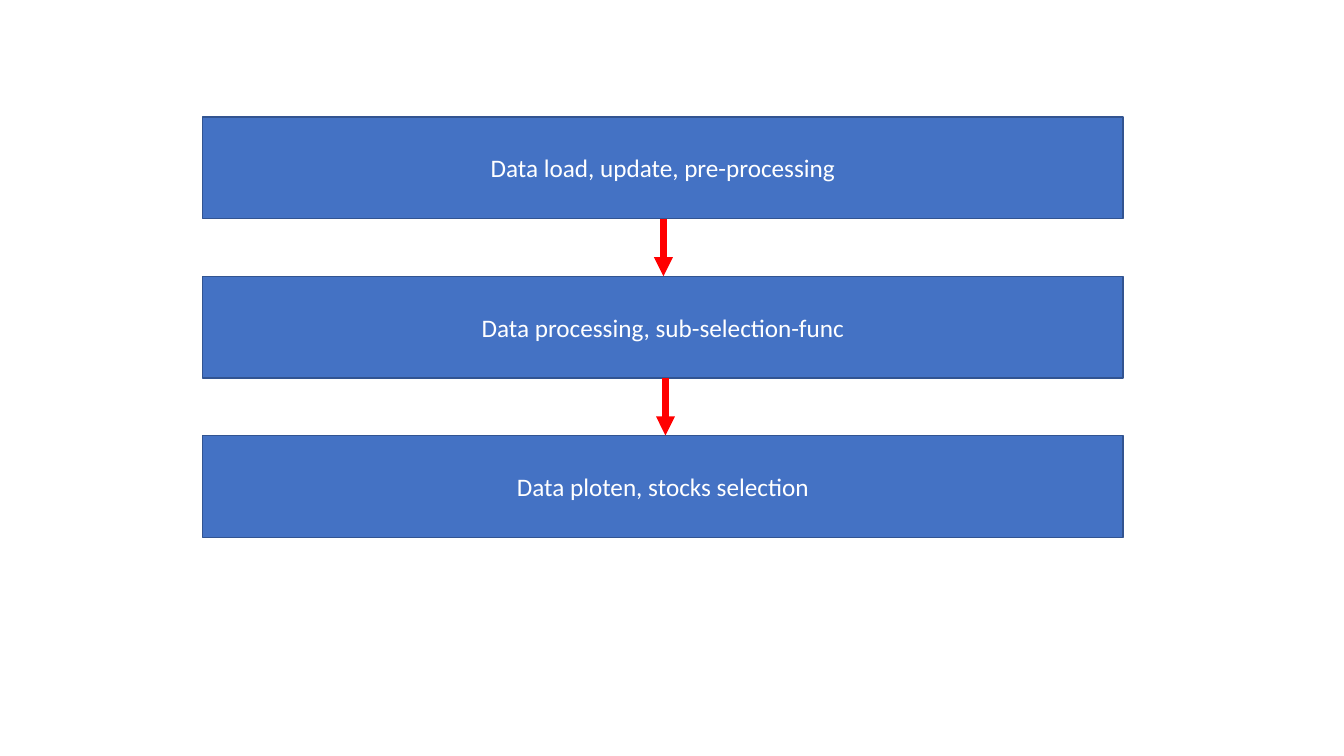
from dataclasses import dataclass

from lxml.etree import SubElement
from pptx import Presentation
from pptx.dml.color import RGBColor
from pptx.enum.shapes import MSO_CONNECTOR, MSO_SHAPE
from pptx.enum.text import MSO_ANCHOR, PP_ALIGN
from pptx.oxml.ns import qn
from pptx.slide import Slide
from pptx.util import Inches, Pt


@dataclass(frozen=True)
class Theme:
    """Colours, type and line widths of the slide."""
    box_fill: RGBColor = RGBColor(0x44, 0x72, 0xC4)
    box_line: RGBColor = RGBColor(0x32, 0x54, 0x91)
    text: RGBColor = RGBColor(0xFF, 0xFF, 0xFF)
    arrow: RGBColor = RGBColor(0xFF, 0x00, 0x00)
    font: str = "Calibri"
    text_size: Pt = Pt(18)
    box_line_width: Pt = Pt(1)
    arrow_width: Pt = Pt(4.5)


@dataclass(frozen=True)
class Step:
    """One pipeline stage and its top edge in inches."""
    label: str
    top: float


THEME = Theme()
BOX_LEFT, BOX_WIDTH, BOX_HEIGHT = 2.01, 9.13, 1.01
FIRST_TOP, STEP_PITCH = 1.16, 1.58
ARROW_POSITIONS = (6.58, 6.6)
LABELS = (
    "Data load, update, pre-processing",
    "Data processing, sub-selection-func",
    "Data ploten, stocks selection",
)


def add_step(slide: Slide, step: Step) -> None:
    """Draw a stage as a labelled box."""
    shape = slide.shapes.add_shape(
        MSO_SHAPE.RECTANGLE, Inches(BOX_LEFT), Inches(step.top),
        Inches(BOX_WIDTH), Inches(BOX_HEIGHT))
    shape.shadow.inherit = False
    shape.fill.solid()
    shape.fill.fore_color.rgb = THEME.box_fill
    shape.line.color.rgb = THEME.box_line
    shape.line.width = THEME.box_line_width
    shape.text_frame.vertical_anchor = MSO_ANCHOR.MIDDLE
    paragraph = shape.text_frame.paragraphs[0]
    paragraph.text = step.label
    paragraph.alignment = PP_ALIGN.CENTER
    paragraph.font.name = THEME.font
    paragraph.font.size = THEME.text_size
    paragraph.font.color.rgb = THEME.text


def add_arrow(slide: Slide, left: float, upper: Step, lower: Step) -> None:
    """Draw an arrow from the upper stage down to the lower one."""
    connector = slide.shapes.add_connector(
        MSO_CONNECTOR.STRAIGHT, Inches(left), Inches(upper.top + BOX_HEIGHT),
        Inches(left), Inches(lower.top))
    connector.line.color.rgb = THEME.arrow
    connector.line.width = THEME.arrow_width
    SubElement(connector.line._get_or_add_ln(), qn("a:tailEnd"), type="triangle")
    SubElement(connector._element.spPr, qn("a:effectLst"))


def main() -> None:
    """Build and save the slide."""
    presentation = Presentation()
    presentation.slide_width = Inches(13.33)
    presentation.slide_height = Inches(7.5)
    slide = presentation.slides.add_slide(presentation.slide_layouts[6])

    steps = [Step(label, FIRST_TOP + index * STEP_PITCH)
             for index, label in enumerate(LABELS)]
    for step in steps:
        add_step(slide, step)
    for left, upper, lower in zip(ARROW_POSITIONS, steps, steps[1:]):
        add_arrow(slide, left, upper, lower)

    presentation.save("out.pptx")


main()
